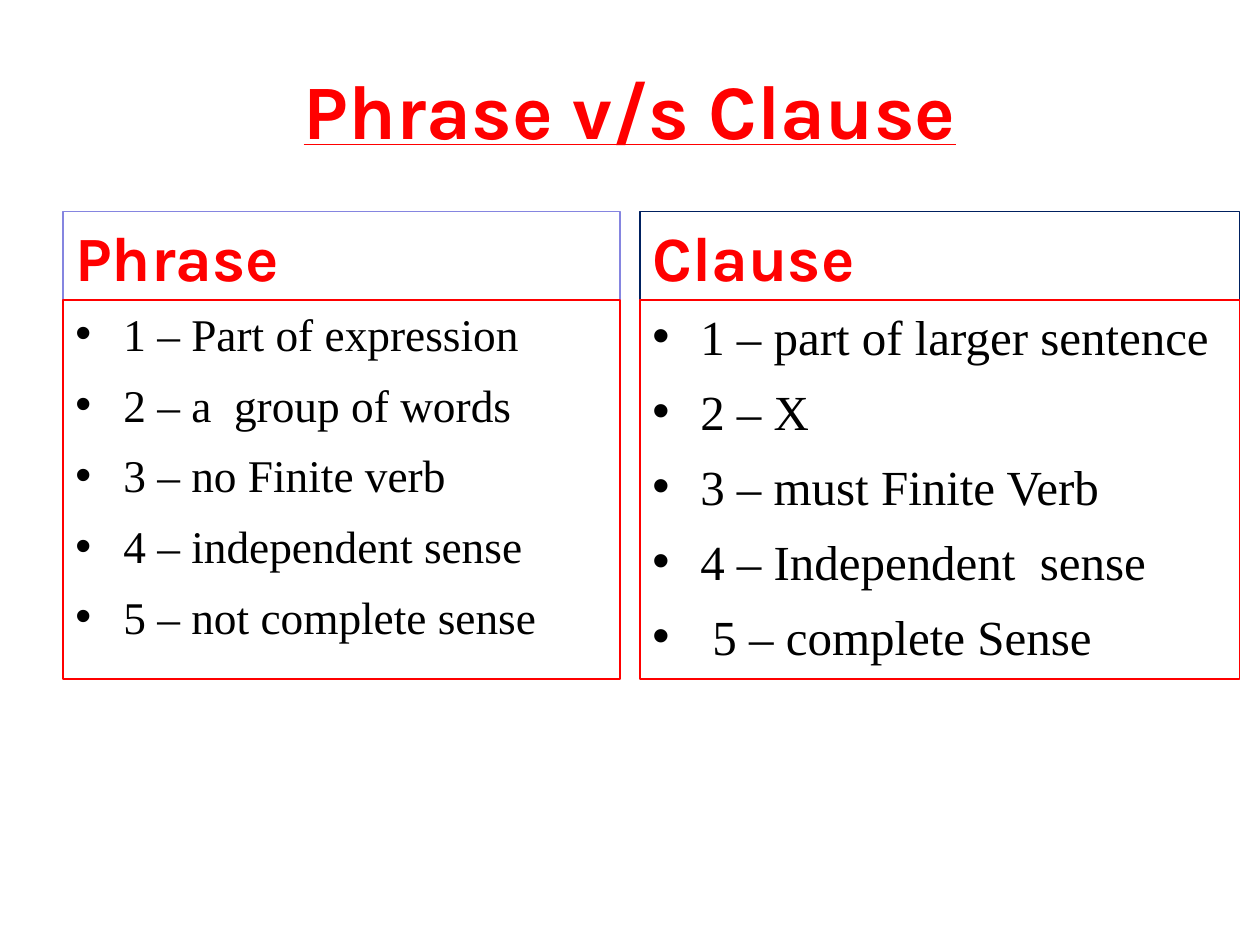
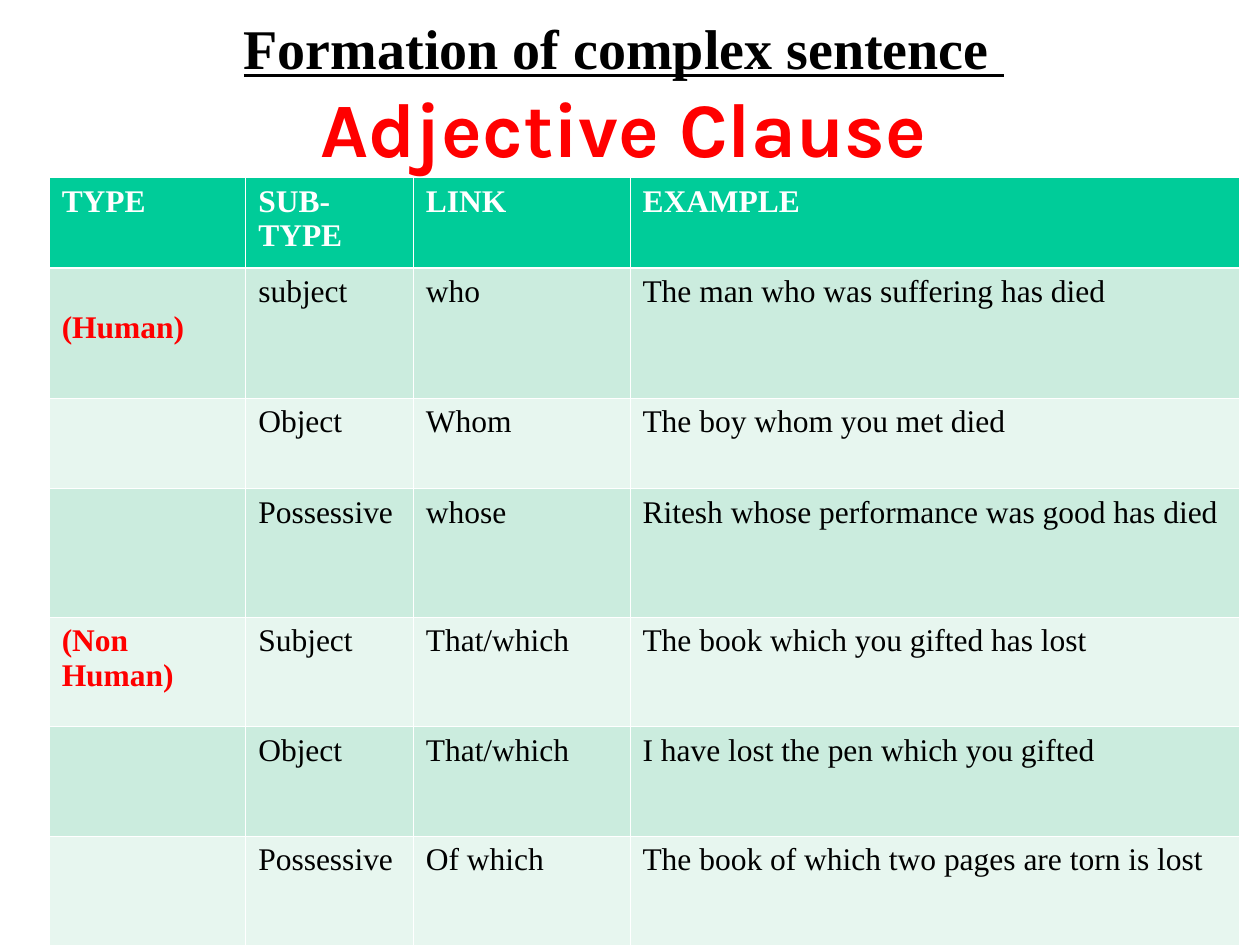
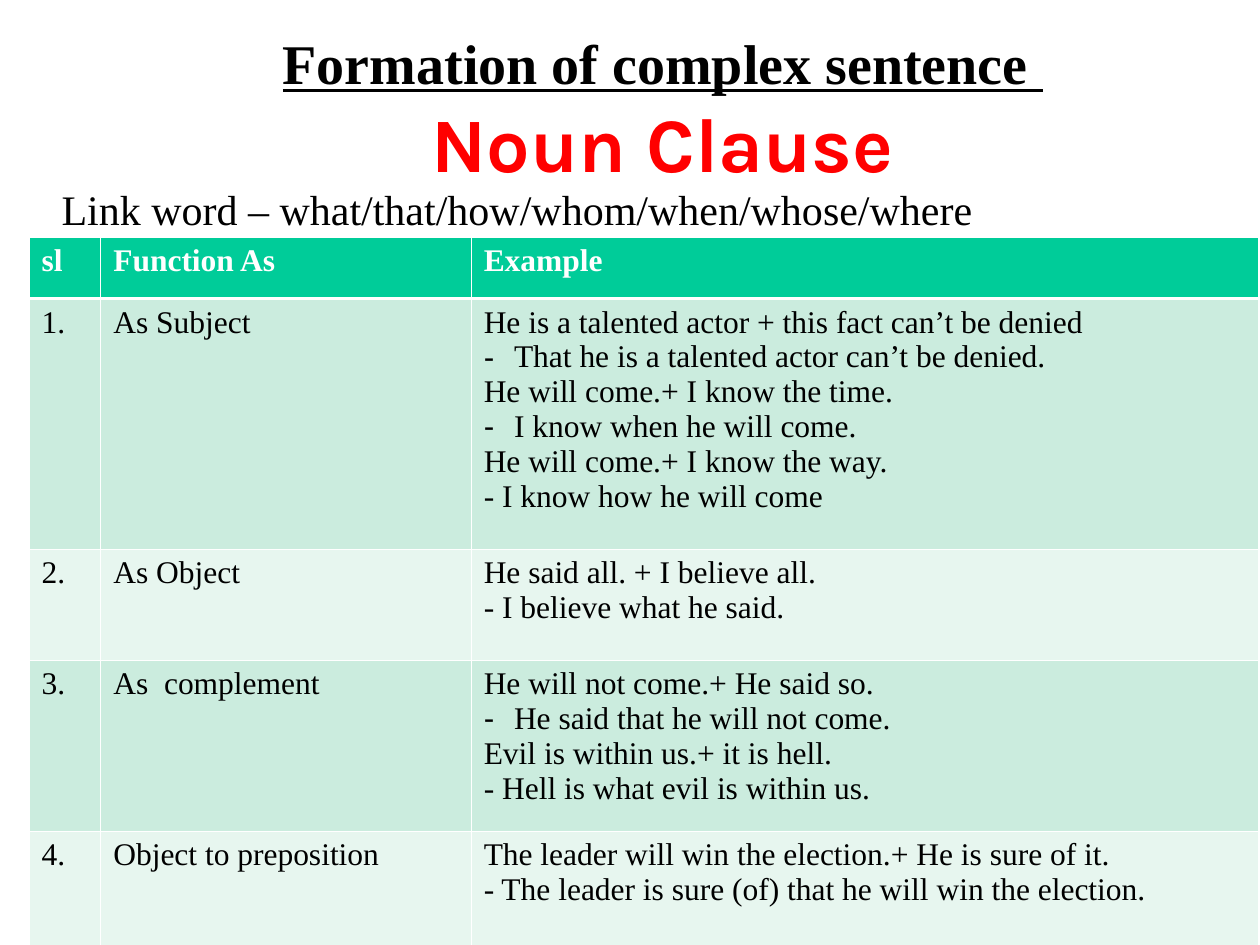
import pptx
import pptx.util
import pptx.dml.color
import pptx.enum.shapes
import pptx.enum.text
import pptx.oxml
import pptx.oxml.ns

Inches = pptx.util.Inches
Pt = pptx.util.Pt
ALIGN = pptx.enum.text.PP_ALIGN
ANCHOR = pptx.enum.text.MSO_ANCHOR

HUE = {
    "ink": "000000", "red": "FF0000", "white": "FFFFFF", "lilac": "8585E0",
    "navy": "002060", "head": "00CC99", "odd": "CBECDE", "even": "E7F6EF",
}
SERIF, SANS = "Times New Roman", "Karla"
LEAD = "Formation of complex sentence "
BIG = dict(size=44, font=SANS, hue="red", bold=True)
SUB = dict(size=32, bold=True, line=True)

PAIRS = [
    ("Phrase", 0.5, 4.42, "lilac", 25.9,
     ["1 – Part of expression", "2 – a  group of words", "3 – no Finite verb",
      "4 – independent sense", "5 – not complete sense"]),
    ("Clause", 5.08, 4.76, "navy", 28,
     ["1 – part of larger sentence", "2 – X", "3 – must Finite Verb",
      "4 – Independent  sense", " 5 – complete Sense"]),
]
ADJ = [
    ["TYPE", "SUB-TYPE", "LINK", "EXAMPLE"],
    ["(Human)", "subject", "who", "The man who was suffering has died"],
    ["", "Object", "Whom", "The boy whom you met died"],
    ["", "Possessive", "whose", "Ritesh whose performance was good has died"],
    ["(Non Human)", "Subject", "That/which", "The book which you gifted has lost"],
    ["", "Object", "That/which", "I have lost the pen which you gifted"],
    ["", "Possessive", "Of which", "The book of which two pages are torn is lost"],
]
# A leading "*" marks a line with a hanging dash
NOUN = [
    ["sl", "Function As", "Example"],
    ["1.", "As Subject",
     "He is a talented actor + this fact can’t be denied\n"
     "*That he is a talented actor can’t be denied.\n"
     "He will come.+ I know the time.\n"
     "*I know when he will come.\n"
     "He will come.+ I know the way.\n"
     "- I know how he will come"],
    ["2.", "As Object", "He said all. + I believe all.\n- I believe what he said."],
    ["3.", "As  complement",
     "He will not come.+ He said so.\n"
     "*He said that he will not come.\n"
     "Evil is within us.+ it is hell.\n"
     "- Hell is what evil is within us."],
    ["4.", "Object to preposition",
     "The leader will win the election.+ He is sure of it.\n"
     "- The leader is sure (of) that he will win the election."],
]


def color(name):
    return pptx.dml.color.RGBColor.from_string(HUE[name])


def bullet(para, mark, hang):
    props = para._p.get_or_add_pPr()
    props.set("marL", str(Inches(hang)))
    props.set("indent", str(-Inches(hang)))
    for tag, key, val in (("buFont", "typeface", "Arial"), ("buChar", "char", mark)):
        node = pptx.oxml.ns.qn("a:" + tag)
        props.append(props.makeelement(node, {key: val}))


def write(frame, text, size=18, font=SERIF, hue="ink", bold=False, line=False,
          align=ALIGN.LEFT, before=0, mark=None, hang=0.24):
    """Write each line of text as one paragraph, after any that exist."""
    for part in text.split("\n"):
        para = frame.paragraphs[-1]
        if para.runs:
            para = frame.add_paragraph()
        para.alignment = align
        para.space_before = Pt(before)
        sign = "-" if part.startswith("*") else mark
        if sign:
            bullet(para, sign, hang)
        run = para.add_run()
        run.text = part.removeprefix("*")
        run.font.size = Pt(size)
        run.font.name = font
        run.font.bold = bold
        run.font.underline = line
        run.font.color.rgb = color(hue)


def title(slide, box, *lines, top=0.05):
    shape = slide.shapes.title
    shape.left, shape.top, shape.width, shape.height = map(Inches, box)
    frame = shape.text_frame
    frame.auto_size = pptx.enum.text.MSO_AUTO_SIZE.NONE
    frame.vertical_anchor = ANCHOR.MIDDLE
    frame.margin_top = Inches(top)
    for text, style in lines:
        write(frame, text, align=ALIGN.CENTER, **style)


def panel(slide, box, edge, anchor):
    shape = slide.shapes.add_shape(
        pptx.enum.shapes.MSO_SHAPE.RECTANGLE, *map(Inches, box))
    shape.shadow.inherit = False
    shape.fill.background()
    shape.line.color.rgb = color(edge)
    shape.line.width = Pt(0.75)
    shape.text_frame.word_wrap = True
    shape.text_frame.vertical_anchor = anchor
    return shape.text_frame


def border(cell, row):
    props = cell._tc.get_or_add_tcPr()
    thick = {"lnB": 0, "lnT": 1}
    for spot, side in enumerate(("lnL", "lnR", "lnT", "lnB")):
        width = Pt(1.47 if thick.get(side) == row else 0.45)
        props.insert(spot, pptx.oxml.parse_xml(
            f'<a:{side} {pptx.oxml.ns.nsdecls("a")} w="{width}"><a:solidFill>'
            f'<a:srgbClr val="{HUE["white"]}"/></a:solidFill></a:{side}>'))


def grid(slide, left, top, cols, rows, data):
    table = slide.shapes.add_table(
        len(rows), len(cols), Inches(left), Inches(top),
        Inches(sum(cols)), Inches(sum(rows))).table
    for col, width in zip(table.columns, cols):
        col.width = Inches(width)
    for num, (line, tall) in enumerate(zip(data, rows)):
        table.rows[num].height = Inches(tall)
        for col, text in enumerate(line):
            cell = table.cell(num, col)
            cell.fill.solid()
            band = "head" if num == 0 else "odd" if num % 2 else "even"
            cell.fill.fore_color.rgb = color(band)
            border(cell, num)
            group = text.startswith("(")
            hue = "white" if num == 0 else "red" if group else "ink"
            if text:
                write(cell.text_frame, text, hue=hue, bold=num == 0 or group)
    return table


def compare(slide):
    title(slide, (0.5, 0.23, 9, 1.17),
          ("Phrase v/s Clause", dict(BIG, line=True)), top=0.15)
    for name, left, width, edge, size, items in PAIRS:
        head = panel(slide, (left, 1.68, width, 0.7), edge, ANCHOR.BOTTOM)
        write(head, name, **dict(BIG, size=36))
        body = panel(slide, (left, 2.38, width, 3.01), "red", ANCHOR.TOP)
        write(body, "\n".join(items), size=size, before=9.3, mark="•", hang=0.38)


def adjective(slide):
    title(slide, (0.7, 0, 8.5, 1.48), (LEAD, SUB), ("Adjective Clause", BIG))
    table = grid(slide, 0.39, 1.41, [1.56, 1.33, 1.72, 4.84],
                 [0.72, 1.03, 0.72, 1.02] + [0.87] * 3, ADJ)
    # The first group label sits one line lower
    table.cell(1, 0).margin_top = Inches(0.33)


def noun(slide):
    title(slide, (0.75, 0.47, 9.02, 0.78), (LEAD, SUB), ("Noun Clause", BIG))
    links = slide.shapes.add_textbox(*map(Inches, (0.39, 1.41, 9.3, 5.62)))
    links.text_frame.word_wrap = True
    write(links.text_frame, "Link word – what/that/how/whom/when/whose/where",
          size=24, before=6)
    grid(slide, 0.23, 1.88, [0.57, 2.94, 6.25],
         [0.49, 1.99, 0.88, 1.36, 0.91], NOUN)


def main():
    deck = pptx.Presentation()
    deck.slide_width, deck.slide_height = Inches(10), Inches(7.5)
    for build in (compare, adjective, noun):
        build(deck.slides.add_slide(deck.slide_layouts[5]))
    deck.save("out.pptx")


if __name__ == "__main__":
    main()
